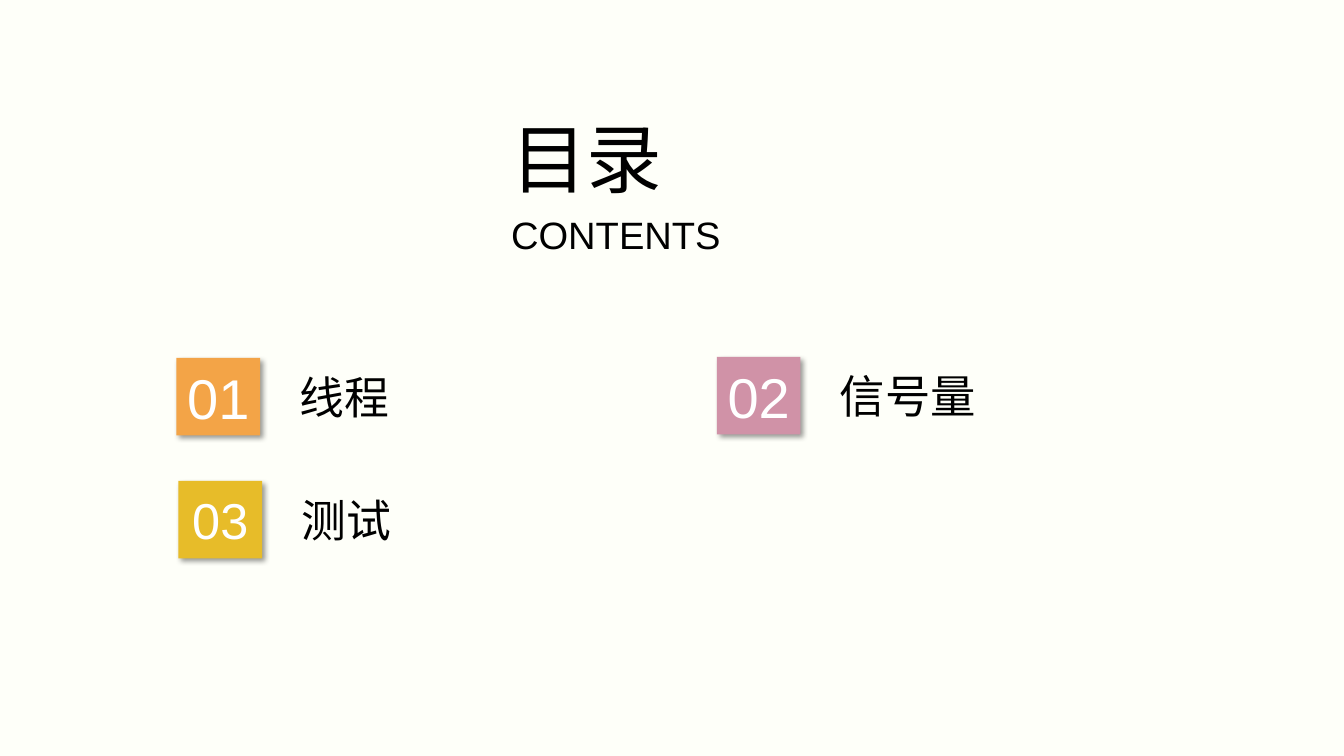
from dataclasses import dataclass

from lxml import etree
from pptx import Presentation
from pptx.dml.color import RGBColor
from pptx.enum.shapes import MSO_SHAPE
from pptx.enum.text import MSO_ANCHOR, PP_ALIGN
from pptx.oxml.ns import qn
from pptx.shapes.autoshape import Shape
from pptx.slide import Slide
from pptx.util import Inches, Pt

RECT = MSO_SHAPE.RECTANGLE
TOP, MIDDLE = MSO_ANCHOR.TOP, MSO_ANCHOR.MIDDLE
LEFT, CENTER, JUSTIFY = PP_ALIGN.LEFT, PP_ALIGN.CENTER, PP_ALIGN.JUSTIFY

CREAM = RGBColor(0xFE, 0xFF, 0xF9)
BLACK = RGBColor(0, 0, 0)
WHITE = RGBColor(0xFF, 0xFF, 0xFF)
ORANGE = RGBColor(0xF3, 0xA4, 0x47)
PINK = RGBColor(0xD0, 0x92, 0xA7)
GOLD = RGBColor(0xE7, 0xBC, 0x29)

FONT = "Arial"
BADGE_W, BADGE_H = 0.83, 0.77
LABEL_W, LABEL_H = 3.37, 0.65
LABEL_DX, LABEL_DY = 1.12, 0.06


@dataclass
class Topic:
    number: str
    label: str
    left: float
    top: float
    color: RGBColor
    number_size: float
    label_size: float


@dataclass
class Heading:
    text: str
    top: float
    height: float
    size: float


TOPICS = [
    Topic("01", "线程", 1.75, 3.55, ORANGE, 40, 32),
    Topic("02", "信号量", 7.11, 3.54, PINK, 40, 32.4),
    Topic("03", "测试", 1.77, 4.77, GOLD, 36, 32),
]
HEADINGS = [
    Heading("目录", 1.06, 1.01, 54),
    Heading("CONTENTS", 2.05, 0.59, 27.2),
]


def write(shape: Shape, text: str, size: float, color: RGBColor,
          align: PP_ALIGN, anchor: MSO_ANCHOR) -> None:
    frame = shape.text_frame
    frame.word_wrap = True
    frame.vertical_anchor = anchor
    line = frame.paragraphs[0]
    line.alignment = align
    run = line.add_run()
    run.text = text
    run.font.name = FONT
    run.font.size = Pt(size)
    run.font.color.rgb = color


def add_shadow(shape: Shape) -> None:
    shape.shadow.inherit = False
    effects = shape.element.spPr.find(qn("a:effectLst"))
    outer = etree.SubElement(
        effects, qn("a:outerShdw"), blurRad=str(Pt(4)), dist=str(Pt(3)),
        dir=str(45 * 60000), algn="tl", rotWithShape="0")
    tint = etree.SubElement(outer, qn("a:srgbClr"), val=str(BLACK))
    etree.SubElement(tint, qn("a:alpha"), val="40000")


def add_label(slide: Slide, text: str, left: float, top: float, width: float,
              height: float, size: float, align: PP_ALIGN,
              anchor: MSO_ANCHOR) -> None:
    box = slide.shapes.add_textbox(
        Inches(left), Inches(top), Inches(width), Inches(height))
    write(box, text, size, BLACK, align, anchor)


def add_topic(slide: Slide, topic: Topic) -> None:
    add_label(slide, topic.label, topic.left + LABEL_DX, topic.top + LABEL_DY,
              LABEL_W, LABEL_H, topic.label_size, LEFT, MIDDLE)
    badge = slide.shapes.add_shape(
        RECT, Inches(topic.left), Inches(topic.top),
        Inches(BADGE_W), Inches(BADGE_H))
    badge.fill.solid()
    badge.fill.fore_color.rgb = topic.color
    badge.line.fill.background()
    add_shadow(badge)
    frame = badge.text_frame
    frame.margin_left = frame.margin_right = Inches(0.05)
    write(badge, topic.number, topic.number_size, WHITE, CENTER, MIDDLE)


def main() -> None:
    deck = Presentation()
    deck.slide_width, deck.slide_height = Inches(13.33), Inches(7.5)
    slide = deck.slides.add_slide(deck.slide_layouts[6])
    slide.background.fill.solid()
    slide.background.fill.fore_color.rgb = CREAM
    for topic in TOPICS:
        add_topic(slide, topic)
    for item in HEADINGS:
        add_label(slide, item.text, 4.97, item.top, 2.41, item.height,
                  item.size, JUSTIFY, TOP)
    deck.save("out.pptx")


if __name__ == "__main__":
    main()
